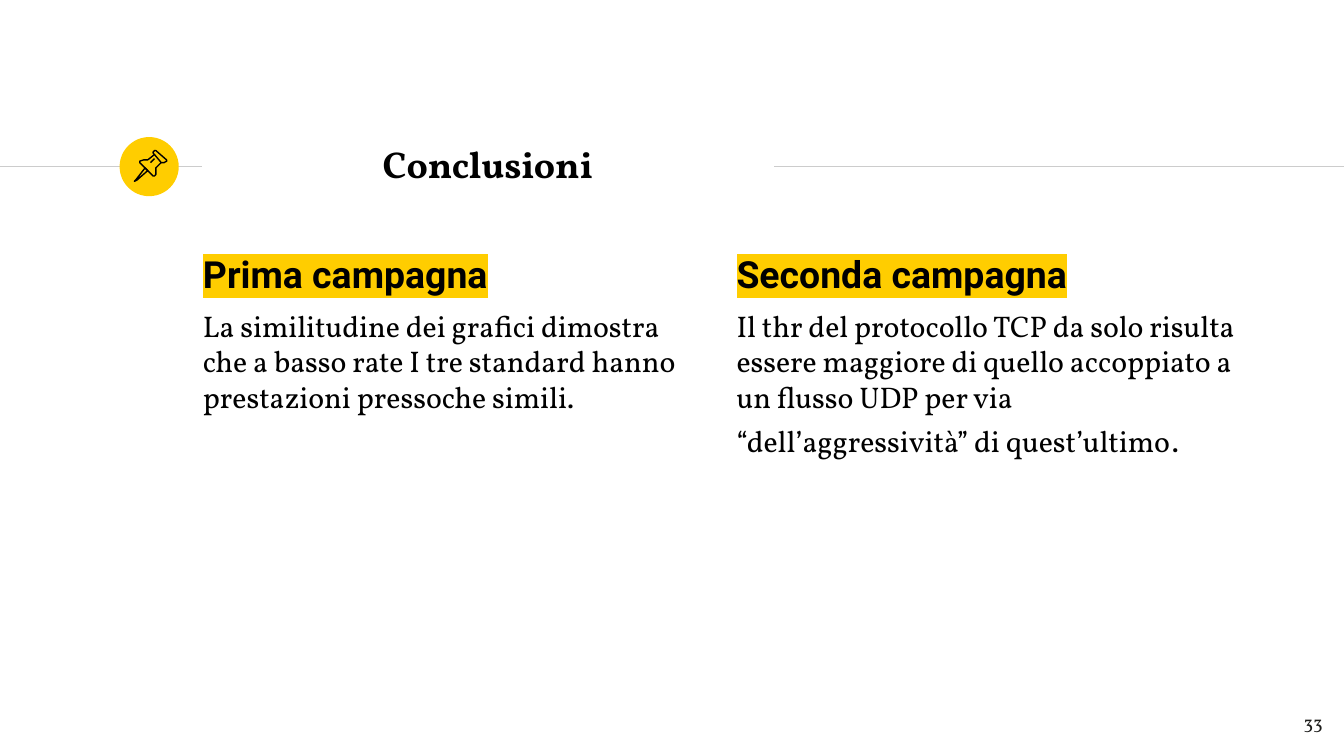
from lxml import etree
from pptx import Presentation
from pptx.dml.color import RGBColor
from pptx.enum.shapes import MSO_CONNECTOR, MSO_SHAPE
from pptx.enum.text import MSO_ANCHOR, MSO_AUTO_SIZE, PP_ALIGN
from pptx.oxml.ns import qn
from pptx.util import Inches, Pt

STRAIGHT = MSO_CONNECTOR.STRAIGHT
OVAL = MSO_SHAPE.OVAL
TOP, MIDDLE = MSO_ANCHOR.TOP, MSO_ANCHOR.MIDDLE
CENTER, LEFT, RIGHT = PP_ALIGN.CENTER, PP_ALIGN.LEFT, PP_ALIGN.RIGHT
NO_FIT = MSO_AUTO_SIZE.NONE
YELLOW, BLACK, GREY = "FFCD00", "000000", "CCCCCC"


def color(value):
    return RGBColor.from_string(value)


def add_text(paragraph, text, font_format, text_color=BLACK, highlight=None):
    run = paragraph.add_run()
    run.text = text
    for name, value in font_format.items():
        setattr(run.font, name, value)
    run.font.color.rgb = color(text_color)
    if highlight:
        mark = etree.Element(qn("a:highlight"))
        etree.SubElement(mark, qn("a:srgbClr"), val=highlight)
        run.font._element.find(qn("a:solidFill")).addnext(mark)


presentation = Presentation()
presentation.slide_width = Inches(10)
presentation.slide_height = Inches(10 * 9 / 16)
slide = presentation.slides.add_slide(presentation.slide_layouts[5])
slide.background.fill.solid()
slide.background.fill.fore_color.rgb = color("FFFFFF")

for start, end in [(0, 1.5), (5.76, 10)]:
    rule = slide.shapes.add_connector(STRAIGHT, Inches(start), Inches(1.24), Inches(end), Inches(1.24))
    rule.line.color.rgb = color(GREY)
    rule.line.width = Pt(0.75)
    etree.SubElement(rule._element.spPr, qn("a:effectLst"))

badge = slide.shapes.add_shape(OVAL, Inches(0.89), Inches(1.02), Inches(0.44), Inches(0.44))
badge.shadow.inherit = False
badge.fill.solid()
badge.fill.fore_color.rgb = color(YELLOW)
badge.line.fill.background()

pin_outlines = [
    ([(108, 125), (101, 134), (100, 135), (102, 134), (110, 127)], True),
    ([(115, 115), (120, 121), (122, 121), (124, 120), (124, 119),
      (116, 112), (115, 112), (114, 113), (114, 114)], True),
    ([(115, 115), (110, 119), (107, 119), (104, 120), (104, 121), (114, 131),
      (115, 131), (116, 130), (116, 125), (120, 121)], False),
    ([(112, 121), (115, 118)], False),
]
for points, closed in pin_outlines:
    builder = slide.shapes.build_freeform(*points[0], scale=Inches(0.01))
    builder.add_line_segments(points[1:], close=closed)
    outline = builder.convert_to_shape()
    outline.shadow.inherit = False
    outline.fill.background()
    outline.line.color.rgb = color(BLACK)
    outline.line.width = Pt(0.75)

title_font = {"name": "Vollkorn", "size": Pt(20), "bold": True}
heading_font = {"name": "Roboto", "size": Pt(20), "bold": True}
body_font = {"name": "Vollkorn", "size": Pt(16), "bold": False}
stop_font = {"name": "Roboto", "size": Pt(20), "bold": False}
number_font = {"name": "Vollkorn", "size": Pt(10), "bold": False}

campaigns = [
    (1.51, "Prima campagna",
     [("La similitudine dei grafici dimostra che a basso rate I tre standard hanno "
       "prestazioni pressoche simili.", body_font)]),
    (5.48, "Seconda campagna",
     [("Il thr del protocollo TCP da solo risulta essere maggiore di quello accoppiato a "
       "un flusso UDP per via “dell’aggressività” di quest’ultimo", body_font),
      (".", stop_font)]),
]
text_blocks = [
    (slide.shapes.title, (1.51, 0.98, 4.24, 0.48), 0, MIDDLE, CENTER,
     [[("Conclusioni", title_font)]]),
    (slide.shapes.add_textbox(0, 0, 0, 0), (9.34, 5.19, 0.6, 0.43), 0.1, TOP, RIGHT,
     [[("33", number_font, "1D1D1B")]]),
]
for left, heading, body in campaigns:
    text_blocks.append((slide.shapes.add_textbox(0, 0, 0, 0), (left, 1.77, 3.75, 3.53), 0, TOP, LEFT,
                        [[(heading, heading_font, BLACK, YELLOW)], body]))

for shape, box, side_margin, anchor, alignment, paragraphs in text_blocks:
    for name, value in zip(("left", "top", "width", "height"), box):
        setattr(shape, name, Inches(value))
    frame = shape.text_frame
    frame_format = {
        "word_wrap": True, "auto_size": NO_FIT, "vertical_anchor": anchor,
        "margin_left": Inches(side_margin), "margin_right": Inches(side_margin),
        "margin_top": Inches(0.1), "margin_bottom": Inches(0.1),
    }
    for name, value in frame_format.items():
        setattr(frame, name, value)
    for index, runs in enumerate(paragraphs):
        paragraph = frame.add_paragraph() if index else frame.paragraphs[0]
        paragraph.alignment = alignment
        paragraph.space_before = Pt(6 if alignment == LEFT else 0)
        for run in runs:
            add_text(paragraph, *run)

presentation.save("out.pptx")
